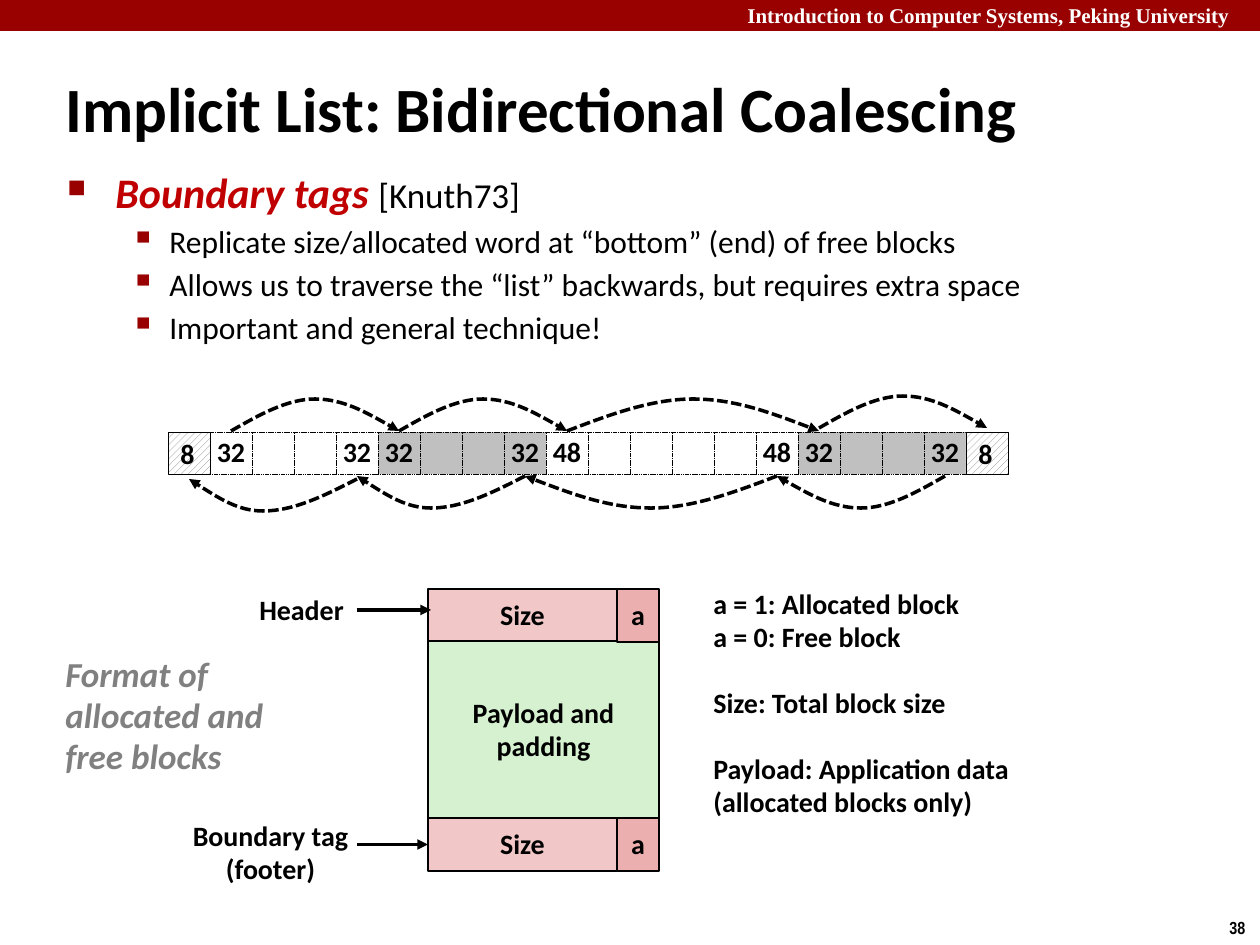
"""Build the slide on bidirectional coalescing with boundary tags."""
import dataclasses
import typing

import lxml.etree
import pptx
import pptx.dml.color
import pptx.enum.dml
import pptx.enum.shapes
import pptx.enum.text
import pptx.oxml.ns
import pptx.util

ALIGN = pptx.enum.text.PP_ALIGN
ANCHOR = pptx.enum.text.MSO_ANCHOR
SHAPE = pptx.enum.shapes.MSO_SHAPE
DASH = pptx.enum.dml.MSO_LINE.SQUARE_DOT
qn = pptx.oxml.ns.qn
CELL, ROW_LEFT, ROW_TOP = 42, 168, 432


@dataclasses.dataclass(frozen=True)
class Theme:
    black: str = "000000"
    white: str = "FFFFFF"
    band: str = "990000"
    accent: str = "C00000"
    muted: str = "808080"
    allocated: str = "C0C0C0"
    size_field: str = "F1C7C7"
    flag_field: str = "EBAFAF"
    payload: str = "D5F1CF"
    font: str = "Calibri"
    band_font: str = "Times New Roman"
    number_font: str = "Arial Narrow"
    title: int = 36
    lead: int = 24
    subhead: int = 20
    bullet: int = 18
    label: int = 16
    band_size: int = 12
    number_size: int = 10


THEME = Theme()


class Area(typing.NamedTuple):
    left: int
    top: int
    width: int
    height: int


class Block(typing.NamedTuple):
    words: int
    size: str
    fill: str


class Field(typing.NamedTuple):
    area: Area
    lines: list[str]
    fill: str


class Arc(typing.NamedTuple):
    start: int
    end: int
    base: int
    rise: int
    peak: float = 0.5


class Note(typing.NamedTuple):
    area: Area
    lines: list[str]
    layout: dict[str, typing.Any] = {}


BLOCKS = [Block(4, "32", THEME.white), Block(4, "32", THEME.allocated),
          Block(6, "48", THEME.white), Block(4, "32", THEME.allocated)]
FIELDS = [Field(Area(428, 589, 189, 53), ["Size"], THEME.size_field),
          Field(Area(428, 641, 231, 178), ["Payload and", "padding"], THEME.payload),
          Field(Area(617, 589, 42, 53), ["a"], THEME.flag_field),
          Field(Area(617, 818, 42, 53), ["a"], THEME.flag_field)]
FOOTER = Field(Area(428, 818, 189, 53), ["Size"], THEME.size_field)
ARCS = [Arc(1, 5, 431, -32), Arc(5, 9, 431, -32), Arc(9, 15, 431, -32), Arc(15, 19, 428, -32),
        Arc(18, 14, 476, 32), Arc(14, 8, 476, 32), Arc(8, 4, 476, 32, 0.56),
        Arc(4, 0, 479, 32, 0.56)]
NOTES = [
    Note(Area(0, 0, 1260, 0)._replace(left=735, top=-4, width=534, height=38),
         ["Introduction to Computer Systems, Peking University"],
         dict(wrap=True, spacing=1.0, size=THEME.band_size, font=THEME.band_font,
              color=THEME.white)),
    Note(Area(1217, 911, 43, 34), ["38"],
         dict(spacing=1.0, size=THEME.number_size, font=THEME.number_font)),
    Note(Area(53, 68, 1207, 79), ["Implicit List: Bidirectional Coalescing"],
         dict(wrap=True, spacing=1.0, anchor=ANCHOR.MIDDLE, size=THEME.title)),
    Note(Area(53, 648, 224, 137), ["Format of", "allocated and", "free blocks"],
         dict(size=THEME.subhead, color=THEME.muted, italic=True)),
    Note(Area(701, 582, 324, 280),
         ["a = 1: Allocated block", "a = 0: Free block", "Size: Total block size",
          "Payload: Application data", "(allocated blocks only)"], dict(gaps=(2, 3))),
    Note(Area(179, 814, 183, 79), ["Boundary tag", "(footer)"], dict(align=ALIGN.CENTER)),
    Note(Area(247, 588, 111, 47), ["Header"]),
]
POINTS = ["Replicate size/allocated word at “bottom” (end) of free blocks",
          "Allows us to traverse the “list” backwards, but requires extra space",
          "Important and general technique!"]


def px(length: float) -> int:
    return round(length * 914400 / 126)


def rgb(color: str) -> pptx.dml.color.RGBColor:
    return pptx.dml.color.RGBColor.from_string(color)


def add_span(para, text: str, *, size: int = THEME.label, font: str = THEME.font,
             color: str = THEME.black, bold: bool = True, italic: bool = False) -> None:
    span = para.add_run()
    span.text = text
    span.font.size = pptx.util.Pt(size)
    span.font.name = font
    span.font.color.rgb = rgb(color)
    span.font.bold, span.font.italic = bold, italic


def write_text(box, lines: list[str], *, align=ALIGN.LEFT, anchor=ANCHOR.TOP, wrap: bool = False,
               spacing: float = 0.98, gaps: tuple[int, ...] = (), **style) -> None:
    frame = box.text_frame
    frame.word_wrap, frame.vertical_anchor = wrap, anchor
    for index, line in enumerate(lines):
        para = frame.add_paragraph() if index else frame.paragraphs[0]
        para.alignment, para.line_spacing = align, spacing
        if index in gaps:
            para.space_before = pptx.util.Pt(19)
        add_span(para, line, **style)


def add_note(page, note: Note) -> None:
    box = page.shapes.add_textbox(*map(px, note.area))
    write_text(box, note.lines, **note.layout)


def add_rect(page, area: Area, fill: str, line_width: float = 0, dashed: bool = False):
    box = page.shapes.add_shape(SHAPE.RECTANGLE, *map(px, area))
    box.shadow.inherit = False
    box.fill.solid()
    box.fill.fore_color.rgb = rgb(fill)
    if line_width:
        box.line.color.rgb = rgb(THEME.black)
        box.line.width = pptx.util.Pt(line_width)
    else:
        box.line.fill.background()
    if dashed:
        box.line.dash_style = DASH
    return box


def add_field(page, field: Field):
    box = add_rect(page, field.area, field.fill, 1)
    write_text(box, field.lines, align=ALIGN.CENTER, anchor=ANCHOR.MIDDLE)
    return box


def add_bullet(para, mark: str, percent: int, margin: int, hang: int) -> None:
    props = para._p.get_or_add_pPr()
    props.set("marL", str(px(margin)))
    props.set("indent", str(-px(hang)))
    color = lxml.etree.SubElement(props, qn("a:buClr"))
    lxml.etree.SubElement(color, qn("a:srgbClr"), val=THEME.band)
    lxml.etree.SubElement(props, qn("a:buSzPct"), val=str(percent * 1000))
    lxml.etree.SubElement(props, qn("a:buChar"), char=mark)


def add_outline(page) -> None:
    frame = page.shapes.add_textbox(*map(px, Area(55, 169, 1145, 183))).text_frame
    frame.word_wrap = True
    para = frame.paragraphs[0]
    add_bullet(para, "■", 60, 48, 48)
    para.line_spacing = 0.83
    add_span(para, "Boundary tags ", size=THEME.lead, color=THEME.accent, italic=True)
    add_span(para, "[Knuth73]", size=THEME.subhead, bold=False)
    for point in POINTS:
        para = frame.add_paragraph()
        para.level = 1
        add_bullet(para, "▪", 110, 102, 39)
        para.line_spacing, para.space_before = 0.88, pptx.util.Pt(5.6)
        add_span(para, point, size=THEME.bullet, bold=False)


def add_cell(page, index: int, fill: str, text: str) -> None:
    box = add_rect(page, Area(ROW_LEFT + CELL * index, ROW_TOP, CELL, CELL), fill, 0.25, True)
    if text:
        write_text(box, [text], align=ALIGN.CENTER, anchor=ANCHOR.MIDDLE)


def add_end_cell(page, index: int) -> None:
    area = Area(ROW_LEFT + CELL * index, ROW_TOP, CELL, CELL)
    box = add_rect(page, area, THEME.white, 0.25)
    box.fill.patterned()
    box.fill.pattern = pptx.enum.dml.MSO_PATTERN.WIDE_UPWARD_DIAGONAL
    box.fill.fore_color.rgb, box.fill.back_color.rgb = rgb(THEME.muted), rgb(THEME.white)
    write_text(box, ["8"], anchor=ANCHOR.MIDDLE, spacing=1.0)


def add_heap(page) -> None:
    index = 1
    for block in BLOCKS:
        for word in range(block.words):
            text = block.size if word in (0, block.words - 1) else ""
            add_cell(page, index + word, block.fill, text)
        index += block.words
    add_end_cell(page, 0)
    add_end_cell(page, index)


def style_arrow(arrow) -> None:
    arrow.line.color.rgb = rgb(THEME.black)
    arrow.line.width = pptx.util.Pt(2)
    line = arrow.element.spPr.find(qn("a:ln"))
    lxml.etree.SubElement(line, qn("a:tailEnd"), type="triangle")


def add_arc(page, arc: Arc) -> None:
    start, end = (ROW_LEFT + CELL * cell + CELL // 2 for cell in (arc.start, arc.end))
    rest = 1 - arc.peak
    stops = [(0, 0), (arc.peak / 3, 0.5), (arc.peak * 2 / 3, 1), (arc.peak, 1),
             (arc.peak + rest / 3, 1), (arc.peak + rest * 2 / 3, 0.5), (1, 0)]
    points = [(px(start + (end - start) * along), px(arc.base + arc.rise * up))
              for along, up in stops]
    builder = page.shapes.build_freeform(*points[0])
    builder.add_line_segments([points[3], points[6]], close=False)
    curve = builder.convert_to_shape()
    for order, segment in enumerate(list(curve.element.iter(qn("a:lnTo")))):
        bend = lxml.etree.Element(qn("a:cubicBezTo"))
        for x, y in points[order * 3 + 1:order * 3 + 4]:
            lxml.etree.SubElement(bend, qn("a:pt"), x=str(x - curve.left), y=str(y - curve.top))
        segment.getparent().replace(segment, bend)
    curve.shadow.inherit = False
    curve.fill.background()
    curve.line.dash_style = DASH
    style_arrow(curve)


def add_pointer(page, y: int, target=None) -> None:
    straight = pptx.enum.shapes.MSO_CONNECTOR.STRAIGHT
    arrow = page.shapes.add_connector(straight, px(357), px(y), px(431), px(y))
    if target is not None:
        arrow.end_connect(target, 1)
        arrow.begin_y = arrow.end_y
    style_arrow(arrow)
    lxml.etree.SubElement(arrow.element.spPr, qn("a:effectLst"))


def main() -> None:
    deck = pptx.Presentation()
    deck.slide_width, deck.slide_height = px(1260), px(945)
    page = deck.slides.add_slide(deck.slide_layouts[6])
    add_rect(page, Area(0, 0, 1260, 31), THEME.band)
    for note in NOTES:
        add_note(page, note)
    add_outline(page)
    for field in FIELDS:
        add_field(page, field)
    footer = add_field(page, FOOTER)
    add_pointer(page, 610)
    add_pointer(page, 844, footer)
    add_heap(page)
    for arc in ARCS:
        add_arc(page, arc)
    deck.save("out.pptx")


if __name__ == "__main__":
    main()
